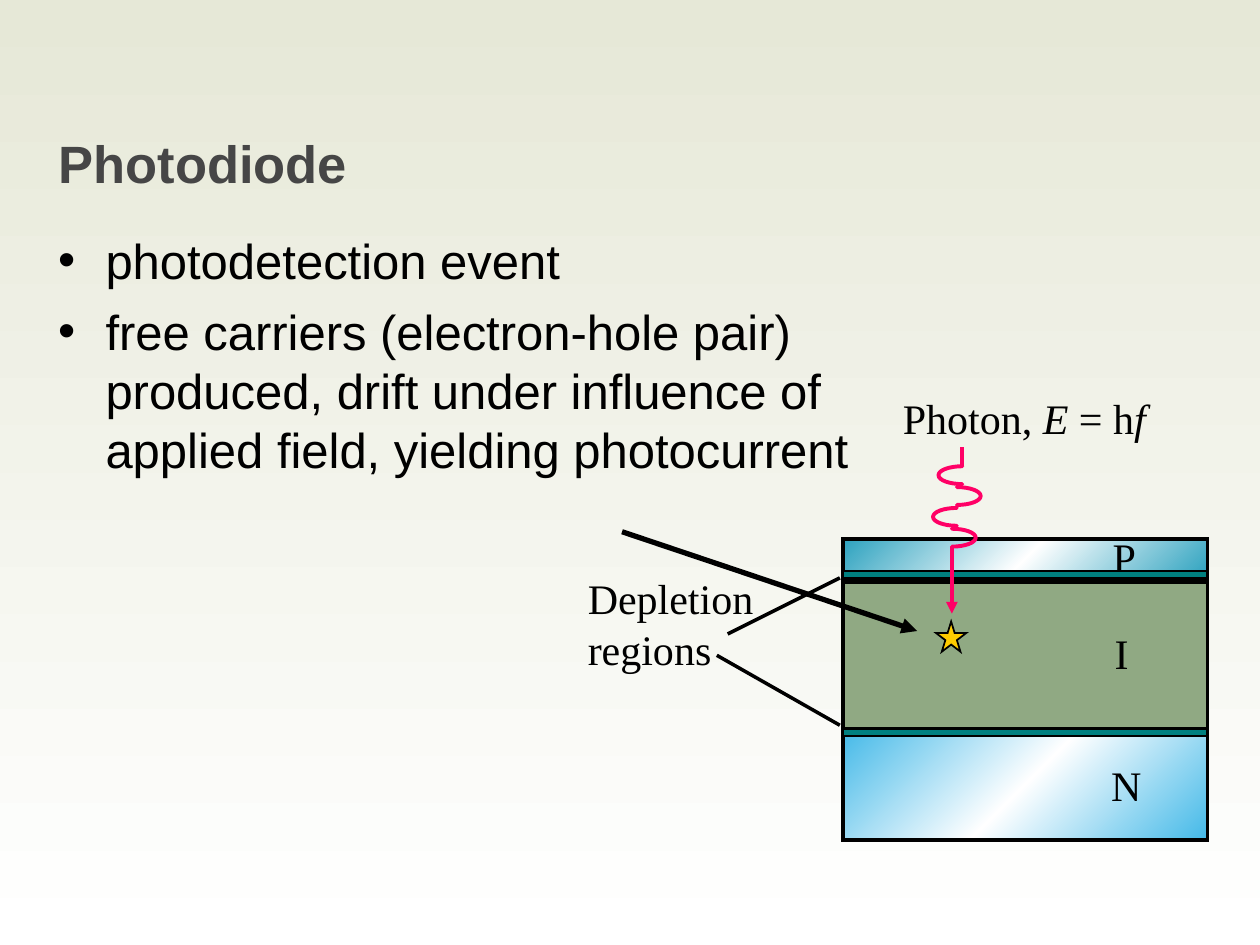
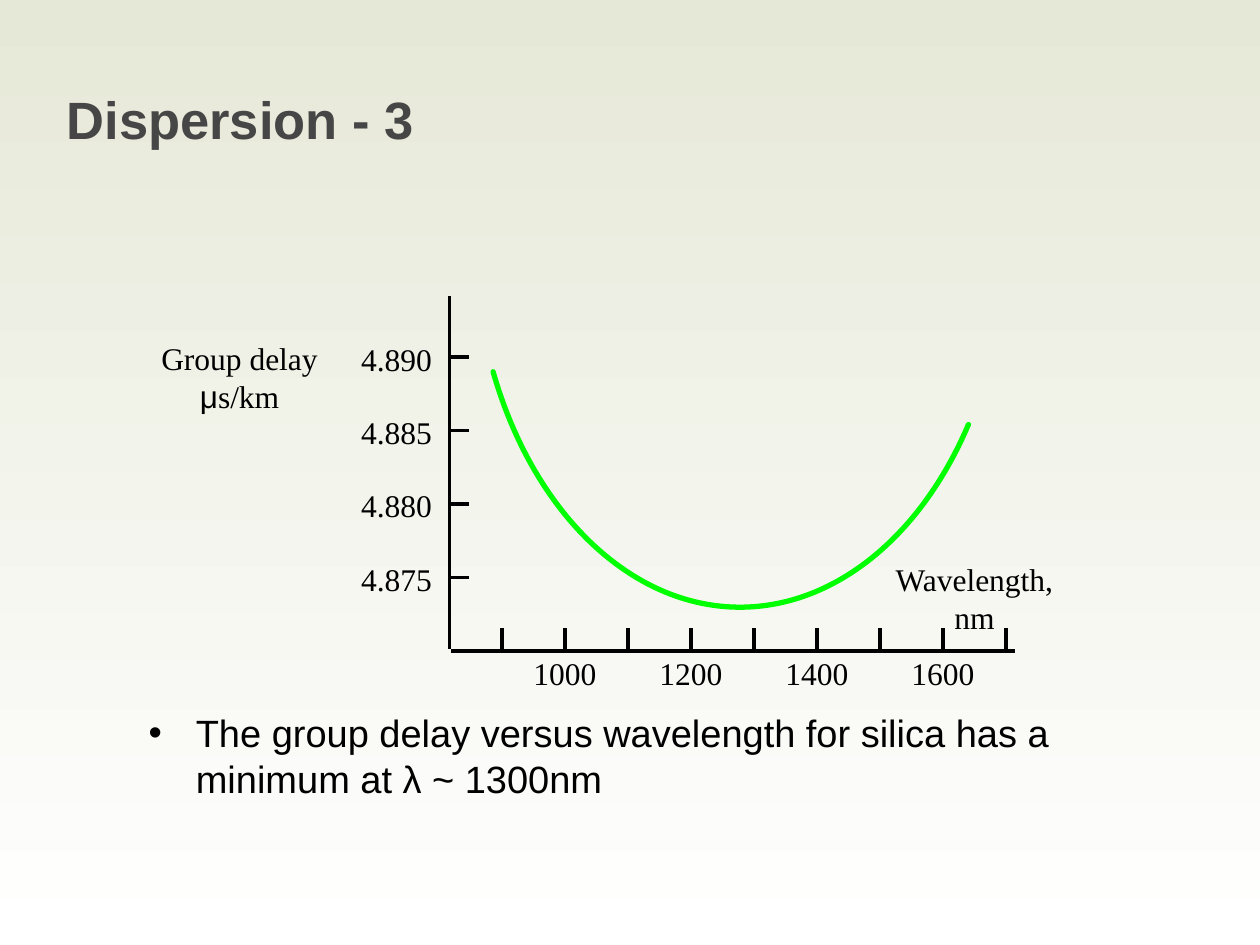
import copy
import math

from lxml import etree
from pptx import Presentation, util as u
from pptx.dml.color import RGBColor
from pptx.enum import shapes, text
from pptx.oxml import ns

BLACK = RGBColor(0x00, 0x00, 0x00)
WHITE = RGBColor(0xFF, 0xFF, 0xFF)
SAGE = RGBColor(0xE6, 0xE8, 0xD7)
TITLE_GREY = RGBColor(0x46, 0x46, 0x46)
P_BLUE = RGBColor(0x2D, 0xA2, 0xBF)
I_GREEN = RGBColor(0x90, 0xA9, 0x83)
N_BLUE = RGBColor(0x44, 0xB9, 0xE8)
DEPLETION_TEAL = RGBColor(0x00, 0x80, 0x80)
STAR_YELLOW = RGBColor(0xFF, 0xCC, 0x00)
PHOTON_PINK = RGBColor(0xFF, 0x00, 0x66)
CURVE_GREEN = RGBColor(0x00, 0xFF, 0x00)
SANS = "Arial"
SERIF = "Times New Roman"


def cm_all(*lengths):
    """Turn lengths in centimetres into slide units."""
    return [u.Cm(length) for length in lengths]


def add_run(paragraph, words, size, font=SERIF, colour=BLACK, bold=False, italic=False):
    """Add one formatted run to a paragraph."""
    run = paragraph.add_run()
    run.text = words
    run.font.name, run.font.size = font, u.Pt(size)
    run.font.bold, run.font.italic = bold, italic
    run.font.color.rgb = colour


def add_label(slide, box, lines, size, align=text.PP_ALIGN.LEFT):
    """Add an unwrapped label; each line is a list of (words, run options)."""
    frame = slide.shapes.add_textbox(*cm_all(*box)).text_frame
    frame.word_wrap = False
    frame.auto_size = text.MSO_AUTO_SIZE.SHAPE_TO_FIT_TEXT
    for index, line in enumerate(lines):
        paragraph = frame.add_paragraph() if index else frame.paragraphs[0]
        paragraph.alignment = align
        for words, options in line:
            add_run(paragraph, words, size, **options)


def add_line(container, start, end, colour=BLACK, width=2, arrow=False):
    """Draw a straight line, with an arrowhead at its end if wanted."""
    line = container.add_connector(shapes.MSO_CONNECTOR.STRAIGHT, *cm_all(*start, *end))
    line.line.color.rgb, line.line.width = colour, u.Pt(width)
    if arrow:
        etree.SubElement(line.line._get_or_add_ln(), ns.qn("a:tailEnd"), type="triangle")
    etree.SubElement(line._element.spPr, ns.qn("a:effectLst"))


def add_arc(container, centre, radii, angles, colour, width):
    """Draw an open elliptical arc through the angles, one Bézier curve for each step."""
    def place(cosine, sine):
        return cm_all(centre[0] + radii[0] * cosine, centre[1] + radii[1] * sine)

    turns = [math.radians(angle) for angle in angles]
    points = []
    for first, last in zip(turns, turns[1:]):
        reach = 4 / 3 * math.tan((last - first) / 4)
        points += [place(math.cos(first) - reach * math.sin(first),
                         math.sin(first) + reach * math.cos(first)),
                   place(math.cos(last) + reach * math.sin(last),
                         math.sin(last) - reach * math.cos(last)),
                   place(math.cos(last), math.sin(last))]
    builder = container.build_freeform(*place(math.cos(turns[0]), math.sin(turns[0])))
    builder.add_line_segments(points, close=False)
    arc = builder.convert_to_shape()
    outline = arc._element.spPr.find(".//" + ns.qn("a:path"))
    segments = outline.findall(ns.qn("a:lnTo"))
    for index, segment in enumerate(segments):
        if index % 3 == 0:
            curve = etree.SubElement(outline, ns.qn("a:cubicBezTo"))
        curve.append(segment[0])
        outline.remove(segment)
    arc.shadow.inherit = False
    arc.fill.background()
    arc.line.color.rgb, arc.line.width = colour, u.Pt(width)
    arc.line._get_or_add_ln().set("cap", "rnd")


def add_block(slide, kind, box, colour, width=2, shiny=False):
    """Add a sharp-cornered outlined shape with a solid fill or a diagonal sheen."""
    shape = slide.shapes.add_shape(kind, *cm_all(*box))
    shape.shadow.inherit = False
    shape.line.color.rgb, shape.line.width = BLACK, u.Pt(width)
    etree.SubElement(shape.line._get_or_add_ln(), ns.qn("a:miter"), lim="800000")
    if not shiny:
        shape.fill.solid()
        shape.fill.fore_color.rgb = colour
        return
    shape.fill.gradient()
    shape.fill.gradient_angle = 315
    for stop, stop_colour, position in zip(shape.fill.gradient_stops, (colour, WHITE), (0, 0.5)):
        stop.color.rgb, stop.position = stop_colour, position
    stops = shape._element.spPr.find(".//" + ns.qn("a:gsLst"))
    end_stop = copy.deepcopy(stops[0])
    end_stop.set("pos", "100000")
    stops.append(end_stop)


def set_background(master):
    """Give every slide the sage to white background."""
    fill = master.background.fill
    fill.gradient()
    fill.gradient_angle = 270
    for stop, colour, position in zip(fill.gradient_stops, (SAGE, WHITE), (0, 1)):
        stop.color.rgb, stop.position = colour, position


def fill_placeholder(placeholder, box, paragraphs, anchor=text.MSO_ANCHOR.TOP, **style):
    """Move a placeholder into its box and write its paragraphs."""
    placeholder.left, placeholder.top, placeholder.width, placeholder.height = cm_all(*box)
    frame = placeholder.text_frame
    frame.auto_size = text.MSO_AUTO_SIZE.NONE
    frame.vertical_anchor = anchor
    for index, words in enumerate(paragraphs):
        paragraph = frame.add_paragraph() if index else frame.paragraphs[0]
        paragraph.alignment = text.PP_ALIGN.LEFT
        paragraph.space_before = u.Pt(7 if index else 0)
        add_run(paragraph, words, font=SANS, **style)


def add_list_slide(presentation, title, title_box, title_anchor, bullets, body_box, body_size):
    """Add a slide with the shared title style and a bulleted list."""
    slide = presentation.slides.add_slide(presentation.slide_layouts[1])
    fill_placeholder(slide.shapes.title, title_box, [title], title_anchor,
                     size=30, colour=TITLE_GREY, bold=True)
    fill_placeholder(slide.placeholders[1], body_box, bullets, size=body_size)
    return slide


def draw_diode(slide, box):
    """Draw the layered P-I-N diode with its labels and leader lines."""
    left, top, width, height = box
    rectangle = shapes.MSO_SHAPE.RECTANGLE
    layers = [(0, 0.79, P_BLUE, True), (0.86, 3.23, I_GREEN, False),
              (3.82, height - 3.82, N_BLUE, True)]
    for offset, thickness, colour, shiny in layers:
        add_block(slide, rectangle, (left, top + offset, width, thickness), colour, shiny=shiny)
    add_block(slide, shapes.MSO_SHAPE.STAR_5_POINT, (left + 1.87, top + 1.66, 0.61, 0.61),
              STAR_YELLOW, 1)
    for letter, x, y, label_width in [("P", 5.18, -0.28, 0.97), ("I", 5.22, 1.66, 0.79),
                                      ("N", 5.15, 4.32, 1.12)]:
        add_label(slide, (left + x, top + y, label_width, 1.27), [[(letter, {})]], 24)
    for offset in (0.64, 3.82):
        add_block(slide, rectangle, (left, top + offset, width, 0.15), DEPLETION_TEAL, 1)
    add_label(slide, (left - 5.4, top + 0.55, 3.84, 2.29),
              [[("Depletion", {})], [("regions", {})]], 24)
    add_line(slide.shapes, (left - 2.33, top + 1.91), (left - 0.07, top + 0.78))
    add_line(slide.shapes, (left - 2.55, top + 2.34), (left - 0.07, top + 3.75))
    add_line(slide.shapes, (left - 4.46, top - 0.15), (left + 1.49, top + 1.85),
             width=3, arrow=True)


def draw_photon(slide, box):
    """Draw the photon label and the wavy arrow that falls from it."""
    left, top, width, height = box
    add_label(slide, (left, top, width, 1.27),
              [[("Photon,", {}), (" E", {"italic": True}), (" = h", {}),
                ("f", {"italic": True})]], 24)
    wave = slide.shapes.add_group_shape().shapes
    style = {"colour": PHOTON_PINK, "width": 2.25}
    add_line(wave, (left + 1.45, top + 1.23), (left + 1.45, top + 1.61), **style)
    for index, x in enumerate((1.45, 1.34, 1.34, 1.24)):
        angles = (-90, 0, 90) if index % 2 else (270, 180, 90)
        add_arc(wave, (left + x, top + 1.79 + 0.42 * index), (0.48, 0.18), angles, **style)
    add_line(wave, (left + 1.24, top + 3.23), (left + 1.24, top + height), arrow=True, **style)


def draw_delay_plot(slide, box):
    """Draw the group delay curve with its axes, ticks and labels."""
    left, top, width, height = box
    bottom = top + height
    centre = text.PP_ALIGN.CENTER
    add_arc(slide.shapes, (left + 5.86, top - 1.32), (5.37, 7.59), (31, 90, 158),
            CURVE_GREEN, 3)
    add_line(slide.shapes, (left, top), (left, bottom - 0.04))
    add_line(slide.shapes, (left + 0.04, bottom), (left + width, bottom))
    for index in range(9):
        x = left + 1.06 + 1.27 * index
        add_line(slide.shapes, (x, bottom + 0.02), (x, bottom - 0.46))
        wavelength = 900 + 100 * index
        if wavelength % 200 == 0:
            add_label(slide, (x - 0.89, bottom - 0.07, 1.78, 1.02),
                      [[(str(wavelength), {})]], 18, centre)
    for index in range(4):
        y = top + 5.67 - 1.48 * index
        add_line(slide.shapes, (left + 0.04, y), (left + 0.39, y))
        add_label(slide, (left - 2.03, y - 0.48, 1.93, 1.02),
                  [[(f"{4.875 + 0.005 * index:.3f}", {})]], 18, centre)
    add_label(slide, (left - 6.06, top + 0.74, 3.66, 1.78),
              [[("Group delay", {})], [("μ", {"font": SANS}), ("s/km", {})]], 18, centre)
    add_label(slide, (left + 8.72, top + 5.19, 3.73, 1.78),
              [[("Wavelength,", {})], [("nm", {})]], 18, centre)


def main():
    """Build the two slides and save them."""
    presentation = Presentation()
    presentation.slide_width, presentation.slide_height = cm_all(25.4, 19.05)
    set_background(presentation.slide_master)

    photodiode = add_list_slide(
        presentation, "Photodiode", (0.93, 2.51, 23.57, 3.61), text.MSO_ANCHOR.TOP,
        ["photodetection event",
         "free carriers (electron-hole pair) produced, drift under influence of "
         "applied field, yielding photocurrent"],
        (0.92, 4.52, 16.59, 9.6), 28)
    draw_diode(photodiode, (17, 10.87, 7.34, 6.07))
    draw_photon(photodiode, (17.95, 7.79, 5.41, 4.58))

    dispersion = add_list_slide(
        presentation, "Dispersion - 3", (1.09, 1.73, 12.62, 1.32), text.MSO_ANCHOR.MIDDLE,
        ["The group delay versus wavelength for silica has a minimum at λ ~ 1300nm"],
        (2.74, 14.18, 21.39, 2.11), 21.7)
    draw_delay_plot(dispersion, (9.06, 5.97, 11.4, 7.15))

    presentation.save("out.pptx")


if __name__ == "__main__":
    main()
